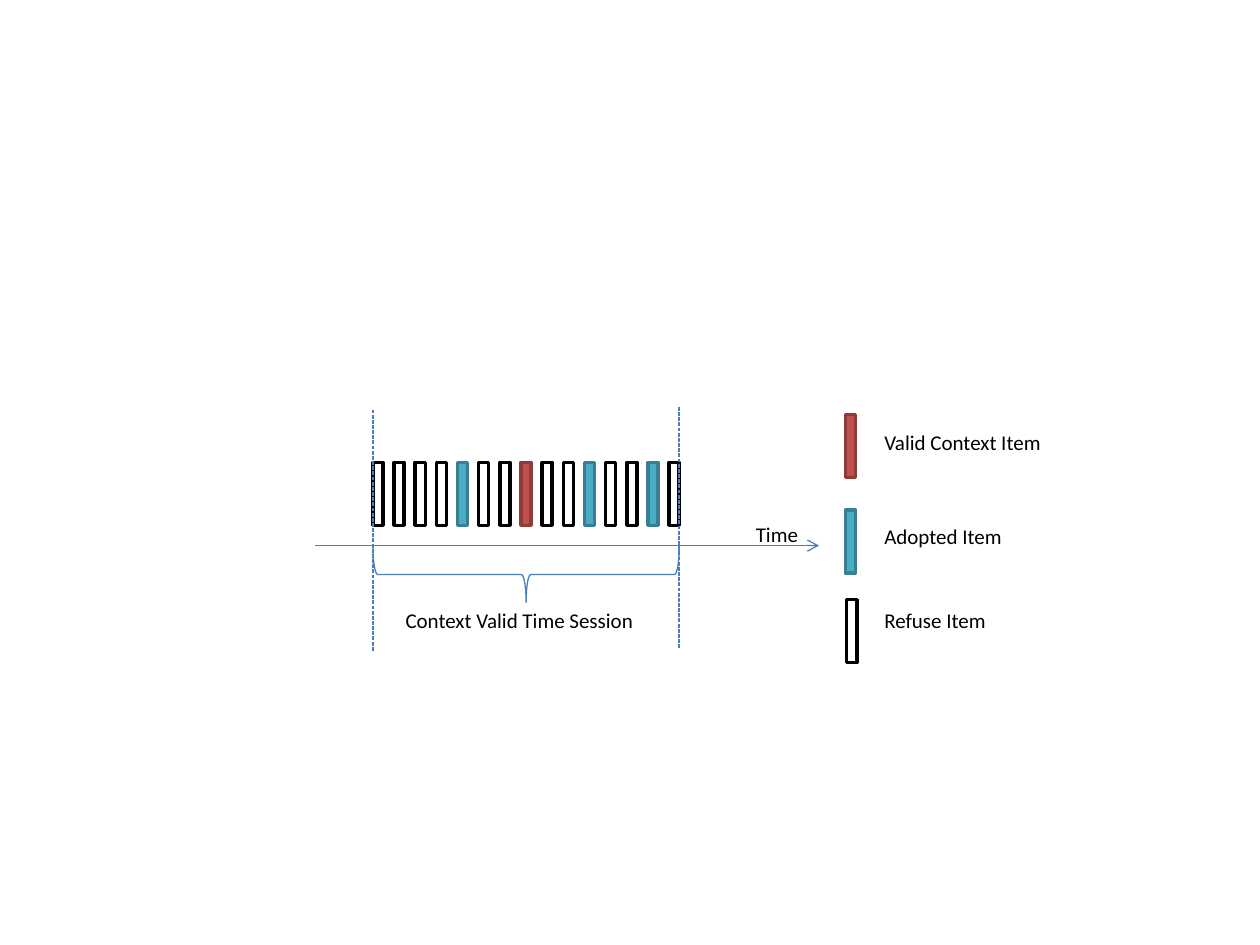
from dataclasses import dataclass

from lxml import etree
from pptx import Presentation
from pptx.dml.color import RGBColor
from pptx.enum.dml import MSO_LINE
from pptx.enum.shapes import MSO_CONNECTOR, MSO_SHAPE
from pptx.enum.text import MSO_ANCHOR, MSO_AUTO_SIZE, PP_ALIGN
from pptx.oxml.ns import qn
from pptx.util import Inches, Pt

RECT, BRACE = MSO_SHAPE.RECTANGLE, MSO_SHAPE.RIGHT_BRACE
STRAIGHT, DASH = MSO_CONNECTOR.STRAIGHT, MSO_LINE.SQUARE_DOT
LEFT, TOP = PP_ALIGN.LEFT, MSO_ANCHOR.TOP
FIT = MSO_AUTO_SIZE.SHAPE_TO_FIT_TEXT

COLORS = {
    "axis": "4B7EBC", "text": "000000",
    "refuse_fill": "FFFFFF", "refuse_line": "000000",
    "adopted_fill": "4BACC6", "adopted_line": "377F92",
    "valid_fill": "C0504D", "valid_line": "8E3B39",
}

# Grid of 100 columns by 75 rows
prs = Presentation()
prs.slide_width, prs.slide_height = Inches(10), Inches(7.5)
COL, ROW = prs.slide_width / 100, prs.slide_height / 75
s = prs.slides.add_slide(prs.slide_layouts[6])

BAR_W, BAR_H, LABEL_H = 0.8, 5, 3
SESSION_LEFT, SESSION_RIGHT = 29.6, 53.9
BAR_ROW, AXIS_ROW = 36.7, 43.3
ITEMS = "RRRRARRVRRARRAR"
KINDS = {"R": "refuse", "A": "adopted", "V": "valid"}


@dataclass
class Key:
    kind: str
    label: str
    bar_col: float
    bar_row: float
    label_row: float
    label_w: float


KEYS = [
    Key("valid", "Valid Context Item", 67.1, 32.9, 33.6, 14.6),
    Key("adopted", "Adopted Item", 67.1, 40.5, 41.1, 11.4),
    Key("refuse", "Refuse Item", 67.2, 47.6, 47.7, 10.2),
]


def box(col: float, row: float, w: float, h: float) -> list[int]:
    return [round(v) for v in (col * COL, row * ROW, w * COL, h * ROW)]


def rgb(name: str) -> RGBColor:
    return RGBColor.from_string(COLORS[name])


def add_bar(kind: str, col: float, row: float) -> None:
    sp = s.shapes.add_shape(RECT, *box(col, row, BAR_W, BAR_H))
    sp.shadow.inherit = False
    sp.fill.solid()
    sp.fill.fore_color.rgb = rgb(f"{kind}_fill")
    sp.line.color.rgb = rgb(f"{kind}_line")
    sp.line.width = Pt(2)


def add_brace(left: float, right: float, row: float, depth: float) -> None:
    # The frame is given upright and turned about its centre
    length = right - left
    sp = s.shapes.add_shape(BRACE, *box((left + right - depth) / 2,
                                        row + (depth - length) / 2, depth, length))
    sp.rotation = 90
    sp.shadow.inherit = False
    sp.fill.background()
    sp.line.color.rgb = rgb("axis")
    sp.line.width = Pt(0.75)


def add_line(x1: float, y1: float, x2: float, y2: float,
             dashed: bool = False, arrow: bool = False) -> None:
    start, end = box(x1, y1, x2, y2)[:2], box(x1, y1, x2, y2)[2:]
    sp = s.shapes.add_connector(STRAIGHT, *start, *end)
    sp.line.color.rgb = rgb("axis")
    sp.line.width = Pt(0.75)
    if dashed:
        sp.line.dash_style = DASH
    if arrow:
        etree.SubElement(sp.line._get_or_add_ln(), qn("a:tailEnd"), type="arrow")
    etree.SubElement(sp._element.spPr, qn("a:effectLst"))


def add_text(text: str, col: float, row: float, w: float, *,
             size: float = 12, color: str = "text", wrap: bool = False) -> None:
    tf = s.shapes.add_textbox(*box(col, row, w, LABEL_H)).text_frame
    tf.word_wrap, tf.auto_size, tf.vertical_anchor = wrap, FIT, TOP
    p = tf.paragraphs[0]
    p.alignment = LEFT
    r = p.add_run()
    r.text = text
    r.font.name, r.font.size = "Calibri", Pt(size)
    r.font.color.rgb = rgb(color)


# Session brace and the items in time order
add_brace(SESSION_LEFT, SESSION_RIGHT, AXIS_ROW + 0.1, 4.4)
pitch = (SESSION_RIGHT - BAR_W - SESSION_LEFT) / (len(ITEMS) - 1)
for i, item in enumerate(ITEMS):
    add_bar(KINDS[item], SESSION_LEFT + i * pitch, BAR_ROW)

# Time axis and session limits
add_line(25, AXIS_ROW, 65, AXIS_ROW, arrow=True)
for col, row in ((SESSION_LEFT, 32.5), (SESSION_RIGHT, 32.3)):
    add_line(col, row, col, row + 19.2, dashed=True)
add_text("Context Valid Time Session", 31.2, 47.7, 20.2, wrap=True)
add_text("Time", 59, 40.9, 5.4)

# Legend
for key in KEYS:
    add_bar(key.kind, key.bar_col, key.bar_row)
    add_text(key.label, 69.2, key.label_row, key.label_w)

prs.save("out.pptx")
